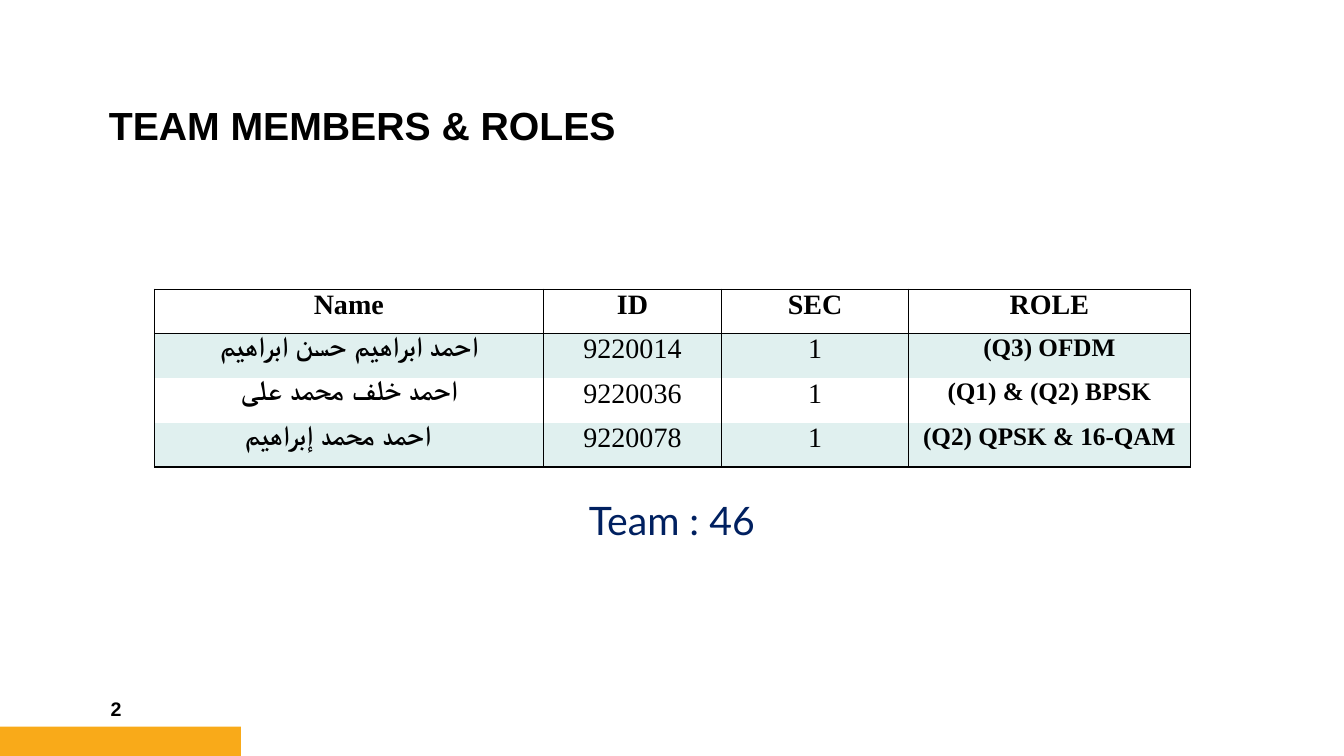
from lxml.etree import SubElement
from pptx import Presentation
from pptx.dml.color import RGBColor
from pptx.enum.shapes import MSO_SHAPE as Shape
from pptx.enum.text import MSO_ANCHOR as Anchor, PP_ALIGN as Align
from pptx.oxml.ns import qn
from pptx.util import Cm, Pt


def color(code):
    return RGBColor.from_string(code)


def style(para, name, size, bold, code="000000"):
    para.font.name = name
    para.font.size = Pt(size)
    para.font.bold = bold
    para.font.color.rgb = color(code)


deck = Presentation()
deck.slide_width, deck.slide_height = Cm(33.87), Cm(19.05)
page = deck.slides.add_slide(deck.slide_layouts[5])

accent = page.shapes.add_shape(Shape.RECTANGLE, Cm(0), Cm(18.31), Cm(6.07), Cm(0.74))
accent.shadow.inherit = False
accent.fill.solid()
accent.fill.fore_color.rgb = color("F9AA19")
accent.line.fill.background()

title = page.shapes.title
title.left, title.top, title.width, title.height = Cm(2.49), Cm(0.2), Cm(23.04), Cm(3.68)
title.text_frame.text = "TEAM MEMBERS & ROLES"
title.text_frame.vertical_anchor = Anchor.BOTTOM
heading = title.text_frame.paragraphs[0]
heading.alignment = Align.LEFT
heading.line_spacing = 0.9
style(heading, "Arial", 28, True)

members = [
    ("Name", "ID", "SEC", "ROLE"),
    ("احمد ابراهيم حسن ابراهيم", "9220014", "1", "(Q3) OFDM"),
    ("احمد خلف محمد على", "9220036", "1", "(Q1) & (Q2) BPSK"),
    ("احمد محمد إبراهيم", "9220078", "1", "(Q2) QPSK & 16-QAM"),
]
widths = [9.8, 4.5, 4.7, 7.11]
last = len(members) - 1
frame = page.shapes.add_table(len(members), len(widths), Cm(3.89), Cm(7.29), Cm(sum(widths)), Cm(4.48))
table = frame.table
table.first_row = table.horz_banding = False
for column, width in zip(table.columns, widths):
    column.width = Cm(width)

for r, member in enumerate(members):
    table.rows[r].height = Cm(1.12)
    for c, text in enumerate(member):
        cell = table.cell(r, c)
        cell.text = text
        cell.margin_left = cell.margin_right = Cm(0.18)
        cell.margin_top = cell.margin_bottom = Cm(0)
        para = cell.text_frame.paragraphs[0]
        para.alignment = Align.CENTER
        style(para, "Times New Roman", 18 if r and c == 3 else 20, r == 0 or c in (0, 3))

        edges = {"lnL": True, "lnR": True, "lnT": r < 2, "lnB": r in (0, last)}
        for edge, drawn in edges.items():
            line = SubElement(cell._tc.get_or_add_tcPr(), qn(f"a:{edge}"), w=str(Pt(1)))
            if drawn:
                fill = SubElement(line, qn("a:solidFill"))
                SubElement(fill, qn("a:srgbClr"), val="000000")
            else:
                SubElement(line, qn("a:noFill"))
        if r % 2:
            cell.fill.solid()
            cell.fill.fore_color.rgb = color("E0F0EF")
        else:
            cell.fill.background()
table.cell(last, 0).margin_right = Cm(0.75)

labels = [
    ("2", 2.54, 17.35, 3.3, 1.02, Align.LEFT, Anchor.MIDDLE, "Arial", 14, True, "000000"),
    ("Team : 46", 8.46, 12.37, 16.94, 1.45, Align.CENTER, Anchor.TOP, "Lato", 28, False, "002060"),
]
for text, left, top, width, height, align, anchor, name, size, bold, code in labels:
    box = page.shapes.add_textbox(Cm(left), Cm(top), Cm(width), Cm(height))
    box.text_frame.word_wrap = True
    box.text_frame.vertical_anchor = anchor
    box.text_frame.text = text
    para = box.text_frame.paragraphs[0]
    para.alignment = align
    style(para, name, size, bold, code)

deck.save("out.pptx")
